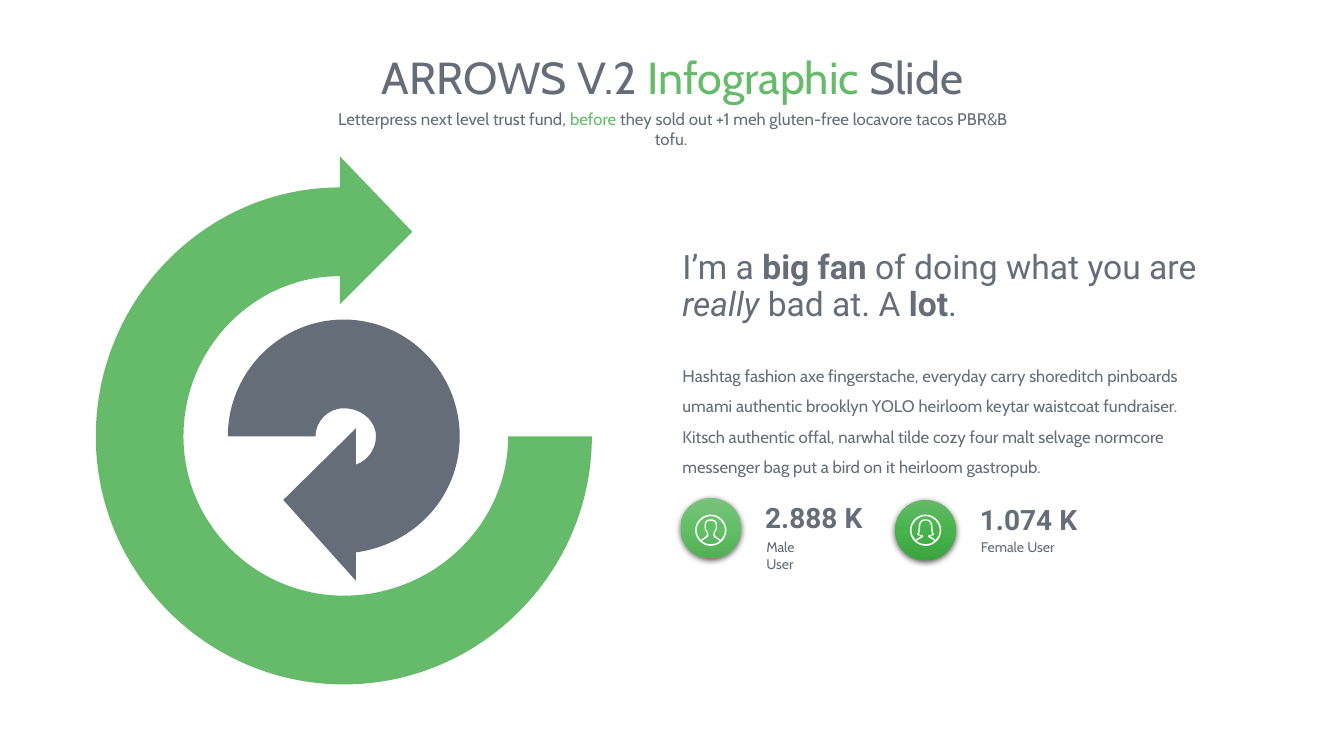
"""Build the circular arrows infographic slide."""
from lxml.etree import SubElement
from pptx import Presentation
from pptx.dml.color import RGBColor
from pptx.enum.shapes import MSO_SHAPE
from pptx.enum.text import MSO_AUTO_SIZE, PP_ALIGN
from pptx.oxml import parse_xml
from pptx.oxml.ns import nsdecls, qn
from pptx.util import Inches, Pt

COLORS = {"green": "66BB6A", "slate": "656D78", "white": "FFFFFF"}
WIDTH, HEIGHT = 13.33, 7.5
INSET = 0.1
ROUNDNESS = 0.55

PLAIN, GREEN, BOLD, ITALIC = {}, {"color": "green"}, {"bold": True}, {"italic": True}
TITLE = [("ARROWS V.2 ", PLAIN), ("Infographic ", GREEN), ("Slide", PLAIN)]
SUBTITLE = [
    ("Letterpress next level trust fund, ", PLAIN),
    ("before", GREEN),
    (" they sold out +1 meh gluten-free locavore tacos PBR&B tofu. ", PLAIN),
]
QUOTE = [
    ("I’m a ", PLAIN), ("big fan ", BOLD), ("of doing what you are ", PLAIN),
    ("really", ITALIC), (" bad at. A ", PLAIN), ("lot", BOLD), (".", PLAIN),
]
BODY = [(
    "Hashtag fashion axe fingerstache, everyday carry shoreditch pinboards "
    "umami authentic brooklyn YOLO heirloom keytar waistcoat fundraiser. "
    "Kitsch authentic offal, narwhal tilde cozy four malt selvage normcore "
    "messenger bag put a bird on it heirloom gastropub.", PLAIN)]

HEADINGS = [
    (TITLE, (2.54, 0.44, 8.26, 0.64), "Cabin", 32, {"alignment": PP_ALIGN.CENTER}),
    (SUBTITLE, (3.2, 1.03, 6.95, 0.3), "Cabin", 12, {"alignment": PP_ALIGN.CENTER}),
    (QUOTE, (6.67, 2.44, 5.46, 0.83), "Roboto", 24, {"line_spacing": 0.9}),
    (BODY, (6.67, 3.48, 5.32, 1.31), "Cabin", 12, {"line_spacing": 1.5}),
]

MALE_OUTSIDE = [
    (0.09, 0.085), (0.075, 0.077), (0.062, 0.07), (0.05, 0.065), (0.042, 0.06), (0.04, 0.05),
    (0.037, 0.045), (0.037, 0.038), (0.038, 0.033), (0.04, 0.03), (0.042, 0.022), (0.045, 0.017),
    (0.055, 0.008), (0.062, -0.01), (0.062, -0.045), (0.062, -0.1), (0.035, -0.108), (0, -0.108),
]
MALE_INSIDE = [
    (0, -0.094), (0.025, -0.094), (0.05, -0.09), (0.05, -0.045), (0.05, -0.01), (0.045, 0.003),
    (0.035, 0.012), (0.03, 0.02), (0.027, 0.028), (0.025, 0.033), (0.022, 0.045), (0.022, 0.05),
    (0.025, 0.057), (0.03, 0.07), (0.04, 0.077), (0.055, 0.082), (0.07, 0.09), (0.08, 0.097),
]
FEMALE_OUTSIDE = [
    (0.08, 0.08), (0.06, 0.07), (0.05, 0.062), (0.043, 0.06), (0.042, 0.059), (0.042, 0.056),
    (0.06, 0.056), (0.08, 0.05), (0.082, 0.047), (0.085, 0.045), (0.086, 0.04), (0.084, 0.038),
    (0.08, 0.032), (0.07, 0.03), (0.07, -0.02), (0.07, -0.08), (0.05, -0.11), (0, -0.11),
]
FEMALE_INSIDE = [
    (0, -0.096), (0.03, -0.096), (0.055, -0.085), (0.055, -0.02), (0.055, 0.01), (0.06, 0.03),
    (0.066, 0.04), (0.06, 0.044), (0.05, 0.048), (0.03, 0.048), (0.028, 0.048), (0.027, 0.049),
    (0.027, 0.051), (0.024, 0.06), (0.024, 0.07), (0.04, 0.077), (0.055, 0.083), (0.075, 0.093),
]
SHOULDER = [(0.14, 0.038), (0.125, 0.07), (0.1, 0.097)]
CHEST = [(0.09, 0.107), (0.06, 0.13), (0.03, 0.14), (0, 0.14)]
STATS = [
    ("2.888 K", "Male User", 0.55, (MALE_OUTSIDE, MALE_INSIDE),
     ("79C37D", "62BF66", "52AF56"), (6.75, 4.94)),
    ("1.074 K", "Female User", 0.73, (FEMALE_OUTSIDE, FEMALE_INSIDE),
     ("65B968", "47B44B", "3BA43F"), (8.88, 4.96)),
]
BADGE, ICON_TOP, LABEL_TOP = 0.6, 5.26, 5.34

GREEN_HEAD = [(3.37, 3.02), (4.09, 2.3), (3.37, 1.55), (3.37, 1.86)]
SLATE_HEAD = [(3.53, 4.25), (2.81, 4.96), (3.53, 5.76), (3.53, 5.48)]


def rgb(name):
    return RGBColor.from_string(COLORS[name])


def quarters(stops, upright):
    points = [stops[0]]
    for (x1, y1), (x2, y2) in zip(stops, stops[1:]):
        dx, dy = (x2 - x1) * ROUNDNESS, (y2 - y1) * ROUNDNESS
        points += ([(x1, y1 + dy), (x2 - dx, y2)] if upright
                   else [(x1 + dx, y1), (x2, y2 - dy)]) + [(x2, y2)]
        upright = not upright
    return points


def straight(corners):
    return [corner for corner in corners for _ in range(3)]


def mirrored(half):
    return half + [(-x, y) for x, y in reversed(half[:-1])]


def add_curves(shapes, contours, color):
    scaled = [[(Inches(x), Inches(y)) for x, y in contour] for contour in contours]
    builder = shapes.build_freeform(*scaled[0][0])
    for place, contour in enumerate(scaled):
        if place:
            builder.move_to(*contour[0])
        builder.add_line_segments(contour[1:], close=True)
    outline = builder.convert_to_shape()
    outline.shadow.inherit = False
    outline.fill.solid()
    outline.fill.fore_color.rgb = rgb(color)
    outline.line.fill.background()
    steps = list(outline._element.iter(qn("a:lnTo")))
    for first, second, last in zip(steps[::3], steps[1::3], steps[2::3]):
        parent = first.getparent()
        curve = SubElement(parent, qn("a:cubicBezTo"))
        parent.replace(first, curve)
        for step in (first, second, last):
            curve.append(step[0])
        parent.remove(second)
        parent.remove(last)


def add_text(shapes, runs, place, font, size, layout, inset=INSET):
    frame = shapes.add_textbox(*map(Inches, place)).text_frame
    settings = {
        "word_wrap": True, "auto_size": MSO_AUTO_SIZE.SHAPE_TO_FIT_TEXT,
        "margin_left": Inches(inset), "margin_right": Inches(inset),
        "margin_top": Inches(inset / 2), "margin_bottom": Inches(inset / 2),
    }
    for name, value in settings.items():
        setattr(frame, name, value)
    paragraph = frame.paragraphs[0]
    for name, value in layout.items():
        setattr(paragraph, name, value)
    for words, look in runs:
        run = paragraph.add_run()
        run.text = words
        style = {"name": font, "size": Pt(size), "bold": False, "italic": False, **look}
        run.font.color.rgb = rgb(style.pop("color", "slate"))
        for name, value in style.items():
            setattr(run.font, name, value)


def add_badge(shapes, left, top, gradient):
    badge = shapes.add_shape(MSO_SHAPE.OVAL, *map(Inches, (left, top, BADGE, BADGE)))
    badge.line.fill.background()
    stops = "".join(f'<a:gs pos="{place * 50000}"><a:srgbClr val="{color}"/></a:gs>'
                    for place, color in enumerate(gradient))
    properties = badge._element.spPr
    properties.insert(2, parse_xml(
        f'<a:gradFill {nsdecls("a")} rotWithShape="1"><a:gsLst>{stops}</a:gsLst>'
        '<a:lin ang="5400000" scaled="0"/></a:gradFill>'))
    properties.append(parse_xml(
        f'<a:effectLst {nsdecls("a")}><a:outerShdw blurRad="{Pt(4.5)}" dist="{Pt(1.5)}" '
        'dir="5400000" algn="ctr" rotWithShape="0"><a:srgbClr val="000000">'
        '<a:alpha val="63000"/></a:srgbClr></a:outerShdw></a:effectLst>'))


def add_user_icon(shapes, middle, outside, inside):
    ring = quarters([(0, -0.155), (0.155, 0), (0, 0.155)], False)
    backdrop = quarters([(0, -0.14), (0.14, 0)], False) + SHOULDER + outside
    halves = [ring, backdrop, inside + CHEST]
    add_curves(shapes, [[(middle + x, ICON_TOP + y) for x, y in mirrored(half)]
                        for half in halves], "white")


def main():
    deck = Presentation()
    deck.slide_width, deck.slide_height = Inches(WIDTH), Inches(HEIGHT)
    slide = deck.slides.add_slide(deck.slide_layouts[6])
    for heading in HEADINGS:
        add_text(slide.shapes, *heading)

    arrows = slide.shapes.add_group_shape().shapes
    green_inner = quarters([(5.04, 4.33), (3.41, 5.91), (1.82, 4.33), (3.37, 2.74)], True)
    green_outer = quarters([(3.37, 1.86), (0.95, 4.33), (3.41, 6.79), (5.87, 4.33)], False)
    add_curves(arrows, [green_inner + straight(GREEN_HEAD) + green_outer[1:]], "green")
    slate_outer = quarters([(4.56, 4.33), (3.41, 3.17), (2.26, 4.33)], True)
    slate_inner = quarters([(3.13, 4.33), (3.41, 4.05), (3.73, 4.33)], True)
    add_curves(arrows, [slate_outer + straight(slate_inner[:1]) + slate_inner[1:]
                        + [(3.73, 4.45), (3.65, 4.57), (3.53, 4.61)] + straight(SLATE_HEAD)
                        + [(4.12, 5.4), (4.56, 4.92), (4.56, 4.33)]], "slate")

    for amount, label, label_width, profile, gradient, (left, top) in STATS:
        stat = slide.shapes.add_group_shape().shapes
        add_badge(stat, left, top, gradient)
        add_text(stat, [(amount, BOLD)], (left + 0.74, top - 0.02, 1.19, 0.44), "Roboto", 20, {})
        add_text(stat, [(label, PLAIN)], (left + 0.85, LABEL_TOP, label_width, 0.17),
                 "Cabin", 10, {}, inset=0)
        add_user_icon(stat, left + BADGE / 2, *profile)
    deck.save("out.pptx")


if __name__ == "__main__":
    main()
